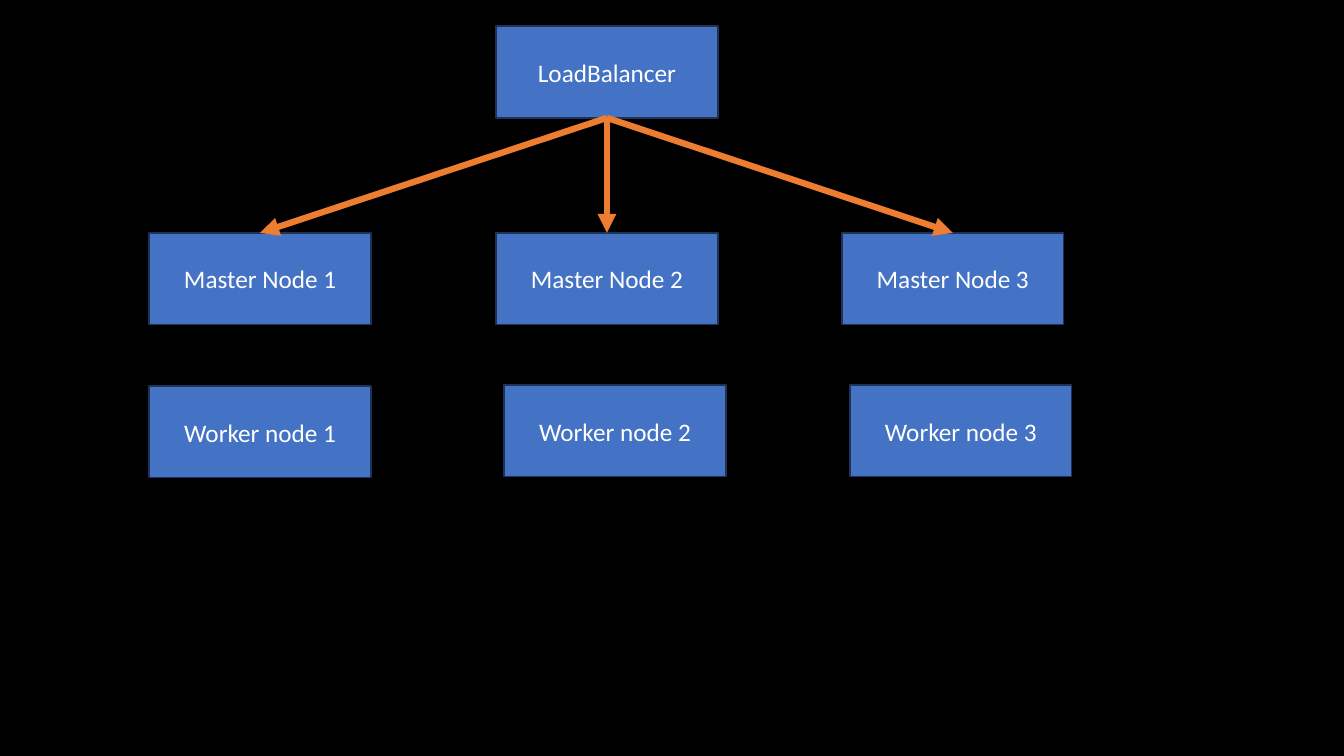
"""Build a slide showing a load balancer feeding three master nodes above three workers."""
from lxml.etree import SubElement
from pptx import Presentation
from pptx.dml.color import RGBColor
from pptx.enum.shapes import MSO_CONNECTOR as Connector, MSO_SHAPE as Shape
from pptx.enum.text import MSO_ANCHOR as Anchor, PP_ALIGN as Align
from pptx.oxml.ns import qn
from pptx.util import Inches, Pt

BALANCER = ("LoadBalancer", 4.92, 0.26)
MASTERS = [
    ("Master Node 1", 1.48, 2.31),
    ("Master Node 2", 4.92, 2.31),
    ("Master Node 3", 8.35, 2.31),
]
WORKERS = [
    ("Worker node 1", 1.48, 3.83),
    ("Worker node 2", 5.0, 3.82),
    ("Worker node 3", 8.43, 3.82),
]
NODE_WIDTH, NODE_HEIGHT = 2.2, 0.91
BOTTOM, TOP = 2, 0


def color(code):
    return RGBColor.from_string(code)


def add_node(page, label, left, top):
    box = page.shapes.add_shape(
        Shape.RECTANGLE, Inches(left), Inches(top), Inches(NODE_WIDTH), Inches(NODE_HEIGHT)
    )
    box.shadow.inherit = False
    box.fill.solid()
    box.fill.fore_color.rgb = color("4472C4")
    box.line.color.rgb = color("1E3256")
    box.line.width = Pt(1)
    box.text_frame.word_wrap = True
    box.text_frame.vertical_anchor = Anchor.MIDDLE
    para = box.text_frame.paragraphs[0]
    para.alignment = Align.CENTER
    span = para.add_run()
    span.text = label
    span.font.name = "Calibri"
    span.font.size = Pt(18)
    span.font.color.rgb = color("FFFFFF")
    return box


def add_arrow(page, source, target):
    start = source.left + source.width // 2, source.top + source.height
    end = target.left + target.width // 2, target.top
    arrow = page.shapes.add_connector(Connector.STRAIGHT, *start, *end)
    arrow.begin_connect(source, BOTTOM)
    arrow.end_connect(target, TOP)
    arrow.line.color.rgb = color("ED7D31")
    arrow.line.width = Pt(4.5)
    properties = arrow.element.spPr
    SubElement(properties.find(qn("a:ln")), qn("a:tailEnd"), type="triangle")
    SubElement(properties, qn("a:effectLst"))


def main():
    deck = Presentation()
    deck.slide_width, deck.slide_height = Inches(13.33), Inches(7.5)
    page = deck.slides.add_slide(deck.slide_layouts[6])
    page.background.fill.solid()
    page.background.fill.fore_color.rgb = color("000000")

    masters = [add_node(page, *node) for node in MASTERS]
    for node in WORKERS:
        add_node(page, *node)
    balancer = add_node(page, *BALANCER)
    for master in masters:
        add_arrow(page, balancer, master)

    deck.save("out.pptx")


if __name__ == "__main__":
    main()
